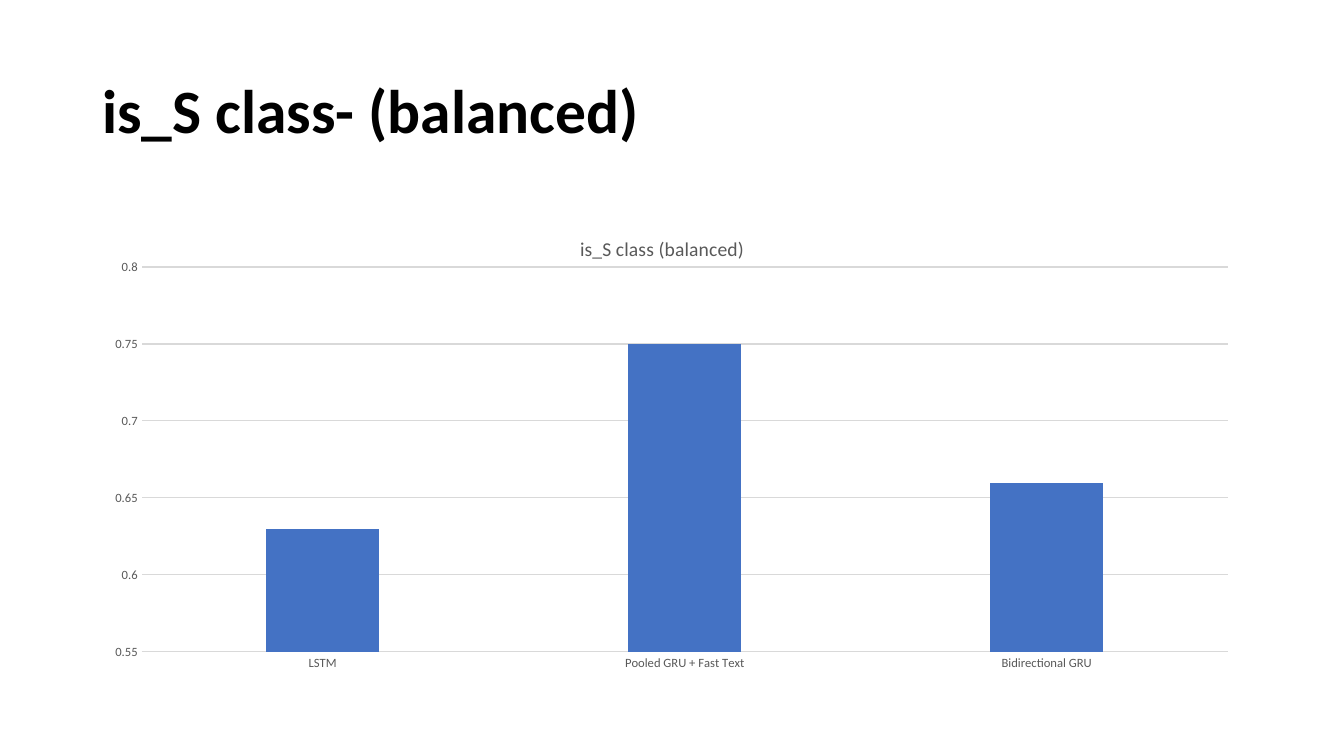
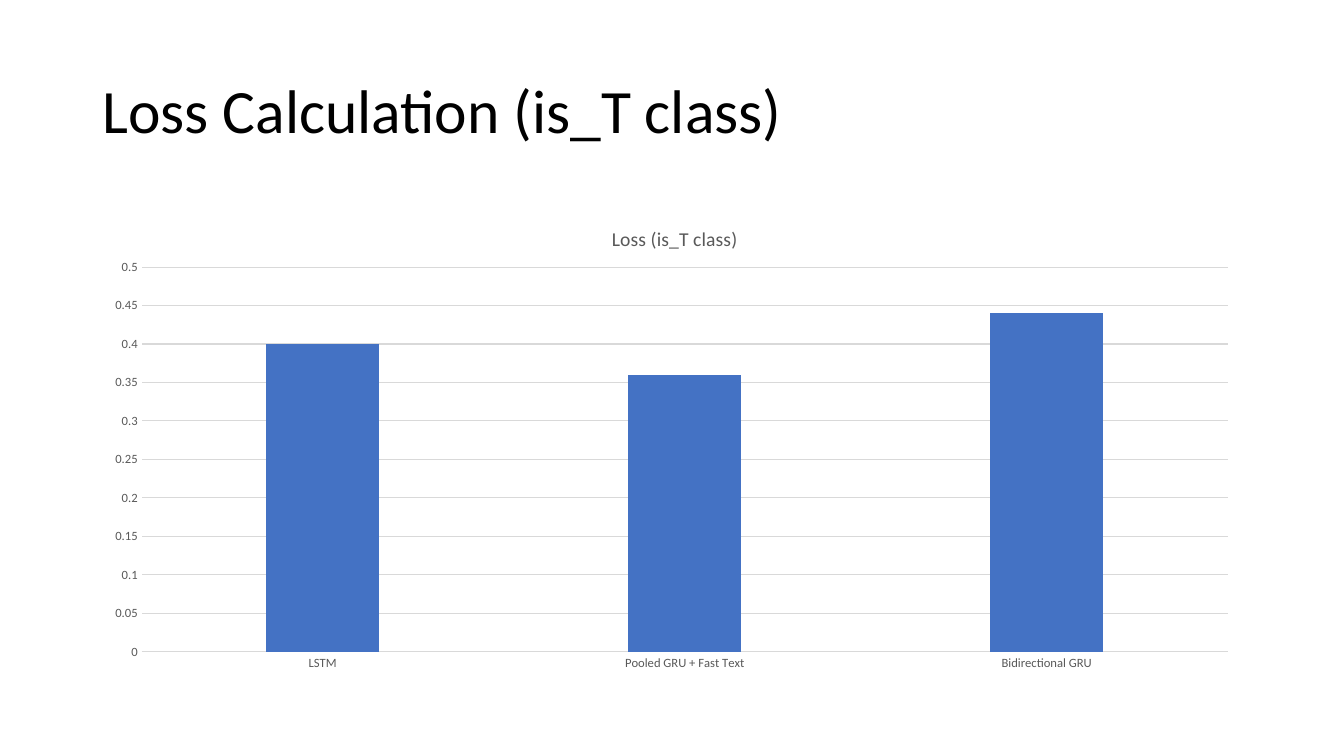
import pptx
import pptx.chart.data
import pptx.dml.color
import pptx.enum.chart
import pptx.enum.text
import pptx.oxml
import pptx.oxml.ns
import pptx.util
from pptx.util import Cm

FONT = "Calibri"
BLACK = "000000"
GRAY = "595959"
GRID = "D9D9D9"
BLUE = "4472C4"
TITLE_BOX = (2.33, 1.01, 29.21, 3.68)
CHART_BOX = (2.33, 5.08, 29.21, 12.09)
PLOT_BOX = (1.24, 1.65, 27.37, 9.7)
MODELS = ("LSTM", "Pooled GRU + Fast Text", "Bidirectional GRU")

SLIDES = (
    {
        "title": "is_S class- (balanced)",
        "bold": True,
        "chart_title": "is_S class (balanced)",
        "chart_title_at": (12.2, 0.77),
        "values": (0.63, 0.75, 0.66),
        "scale": (0.55, 0.8),
    },
    {
        "title": "Loss Calculation (is_T class)",
        "bold": False,
        "chart_title": "Loss (is_T class)",
        "chart_title_at": (13, 0.51),
        "values": (0.4, 0.36, 0.44),
        "scale": (0, 0.5),
    },
)


def color(value):
    return pptx.dml.color.RGBColor.from_string(value)


def style_font(font, size, value, bold=False):
    font.name = FONT
    font.size = pptx.util.Pt(size)
    font.bold = bold
    font.color.rgb = color(value)


def style_line(line, value):
    line.color.rgb = color(value)
    line.width = pptx.util.Pt(0.75)


def set_layout(element, position, box, inner=False):
    namespace = pptx.oxml.ns.nsdecls("c")
    fractions = [part / box[2 + index % 2] for index, part in enumerate(position)]
    names = ("x", "y", "w", "h")[:len(fractions)]
    target = '<c:layoutTarget val="inner"/>' if inner else ""
    modes = "".join(f'<c:{name}Mode val="edge"/>' for name in names[:2])
    lengths = "".join(f'<c:{name} val="{part:.5f}"/>' for name, part in zip(names, fractions))
    layout = pptx.oxml.parse_xml(
        f"<c:layout {namespace}><c:manualLayout>{target}{modes}{lengths}"
        "</c:manualLayout></c:layout>"
    )
    for previous in element.findall(pptx.oxml.ns.qn("c:layout")):
        element.remove(previous)
    text = element.find(pptx.oxml.ns.qn("c:tx"))
    element.insert(0 if text is None else 1, layout)


def add_title(slide, box, text, bold):
    shape = slide.shapes.add_textbox(*map(Cm, box))
    frame = shape.text_frame
    frame.word_wrap = True
    frame.vertical_anchor = pptx.enum.text.MSO_ANCHOR.MIDDLE
    paragraph = frame.paragraphs[0]
    paragraph.line_spacing = 0.9
    run = paragraph.add_run()
    run.text = text
    style_font(run.font, 44, BLACK, bold)


def style_axes(chart, scale):
    for axis in (chart.category_axis, chart.value_axis):
        axis.major_tick_mark = pptx.enum.chart.XL_TICK_MARK.NONE
        axis.minor_tick_mark = pptx.enum.chart.XL_TICK_MARK.NONE
        style_font(axis.tick_labels.font, 9, GRAY)
    style_line(chart.category_axis.format.line, GRID)
    values = chart.value_axis
    values.minimum_scale, values.maximum_scale = scale
    values.major_unit = 0.05
    values.tick_labels.number_format = "General"
    values.tick_labels.number_format_is_linked = False
    values.format.line.fill.background()
    values.has_major_gridlines = True
    style_line(values.major_gridlines.format.line, GRID)


def add_column_chart(slide, box, content):
    data = pptx.chart.data.CategoryChartData()
    data.categories = MODELS
    data.add_series("Series 1", content["values"])
    chart = slide.shapes.add_chart(
        pptx.enum.chart.XL_CHART_TYPE.COLUMN_CLUSTERED, *map(Cm, box), data
    ).chart
    style_font(chart.font, 10, BLACK)
    chart.has_legend = False
    chart.has_title = True
    run = chart.chart_title.text_frame.paragraphs[0].add_run()
    run.text = content["chart_title"]
    style_font(run.font, 14, GRAY)
    title = chart.chart_title.format.element if hasattr(chart.chart_title.format, "element") else None
    if title is None:
        title = chart.element.find(".//" + pptx.oxml.ns.qn("c:title"))
    set_layout(title, content["chart_title_at"], box)
    set_layout(chart.element.find(".//" + pptx.oxml.ns.qn("c:plotArea")), PLOT_BOX, box, True)
    plot = chart.plots[0]
    plot.gap_width = 219
    plot.overlap = -27
    plot.vary_by_categories = False
    fill = plot.series[0].format.fill
    fill.solid()
    fill.fore_color.rgb = color(BLUE)
    style_axes(chart, content["scale"])


def add_chart_slide(presentation, content):
    slide = presentation.slides.add_slide(presentation.slide_layouts[6])
    add_title(slide, TITLE_BOX, content["title"], content["bold"])
    add_column_chart(slide, CHART_BOX, content)


def main():
    presentation = pptx.Presentation()
    presentation.slide_width = Cm(33.87)
    presentation.slide_height = Cm(19.05)
    for content in SLIDES:
        add_chart_slide(presentation, content)
    presentation.save("out.pptx")


if __name__ == "__main__":
    main()
